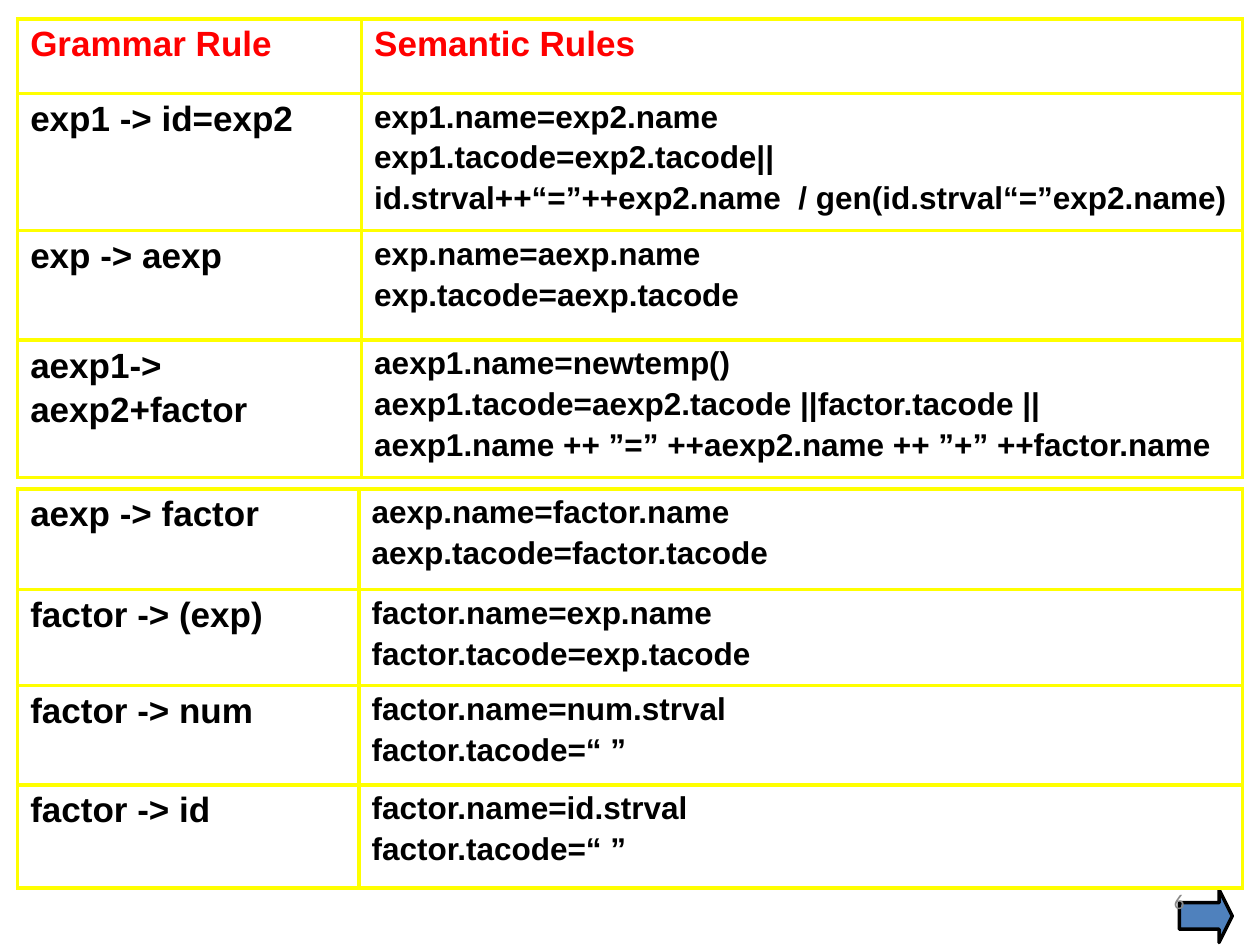
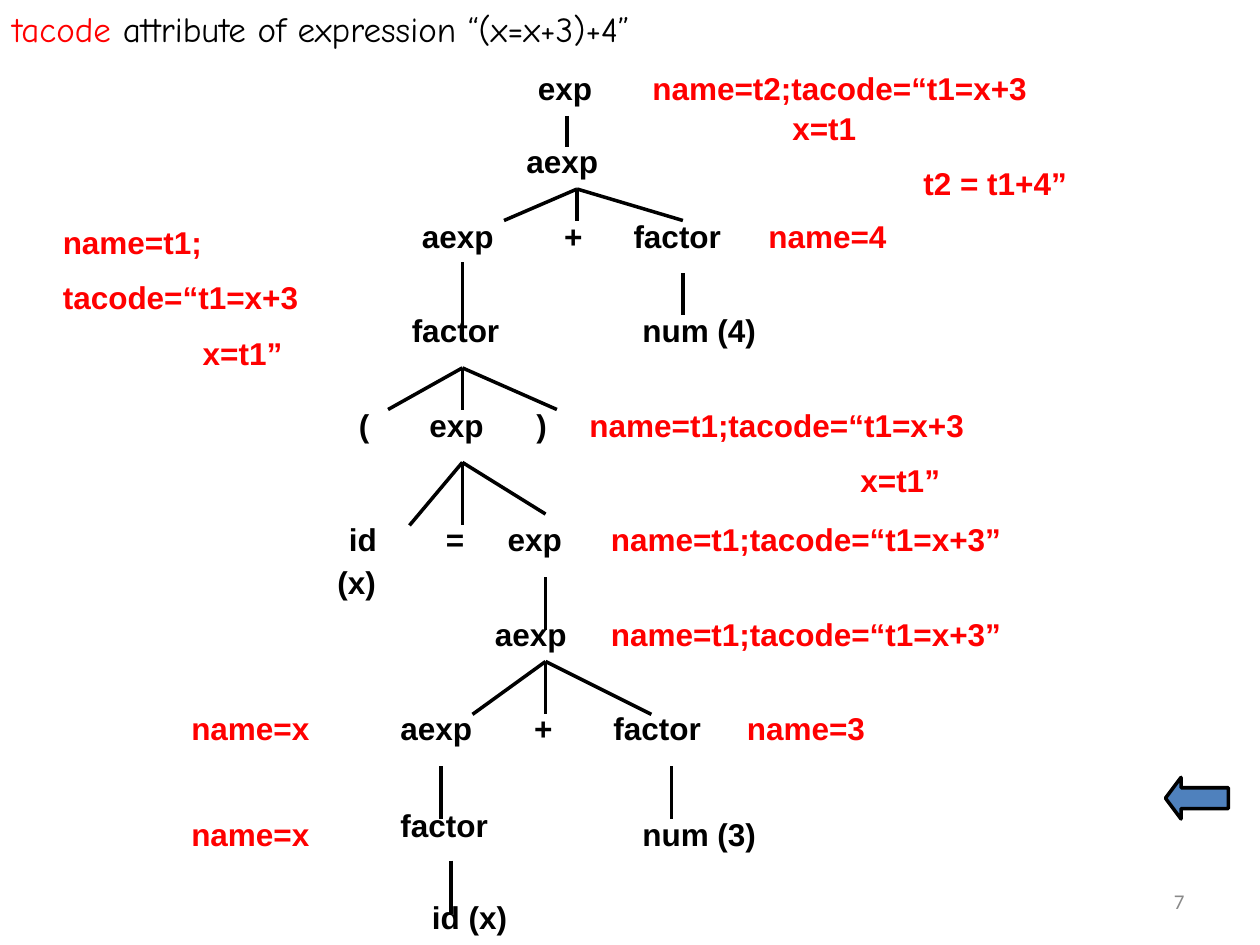
from lxml import etree
from pptx import Presentation
from pptx import util as u
from pptx.dml.color import RGBColor
from pptx.enum import shapes, text
from pptx.oxml.ns import qn

BLACK, RED, YELLOW, BLUE, GREY = "000000", "FF0000", "FFFF00", "4F81BD", "898989"


def color(hex_string):
    return RGBColor.from_string(hex_string)


def write(frame, lines, font="Arial", size=18, fill=BLACK, bold=True,
          gaps=10, indents=(), align=text.PP_ALIGN.LEFT, line_spacing=None):
    """Each line is a string or a list of (string, colour) pieces.

    gaps is the space before later lines: one number, or one per line.
    indents holds the left indent of each line in inches.
    """
    frame.word_wrap = True
    for number, line in enumerate(lines):
        paragraph = frame.paragraphs[0] if number == 0 else frame.add_paragraph()
        paragraph.alignment = align
        if line_spacing:
            paragraph.line_spacing = line_spacing
        if number > 0:
            gap = gaps[number] if isinstance(gaps, tuple) else gaps
            paragraph.space_before = u.Pt(gap)
        if indents and indents[number]:
            paragraph._p.get_or_add_pPr().set("marL", str(u.Inches(indents[number])))
        for piece, piece_color in [(line, fill)] if isinstance(line, str) else line:
            run = paragraph.add_run()
            run.text = piece
            run.font.name, run.font.size, run.font.bold = font, u.Pt(size), bold
            run.font.color.rgb = color(piece_color)


presentation = Presentation()
presentation.slide_width, presentation.slide_height = u.Inches(10), u.Inches(7.5)
blank = presentation.slide_layouts[6]
rules_slide, tree_slide = [presentation.slides.add_slide(blank) for _ in range(2)]

# Navigation arrows and slide numbers
navigation = [
    (rules_slide, "6", shapes.MSO_SHAPE.RIGHT_ARROW, (9.36, 7.06, 0.42, 0.42), 0.25),
    (tree_slide, "7", shapes.MSO_SHAPE.LEFT_ARROW, (9.25, 6.17, 0.5, 0.33), 0.375),
]
for slide, number, kind, place, head in navigation:
    arrow = slide.shapes.add_shape(kind, *[u.Inches(value) for value in place])
    arrow.shadow.inherit = False
    arrow.adjustments[0], arrow.adjustments[1] = 0.5, head
    arrow.fill.solid()
    arrow.fill.fore_color.rgb = color(BLUE)
    arrow.line.color.rgb = color(BLACK)
    arrow.line.width = u.Pt(2)
    box = slide.shapes.add_textbox(u.Inches(7.17), u.Inches(6.95), u.Inches(2.33), u.Inches(0.4))
    box.text_frame.vertical_anchor = text.MSO_ANCHOR.MIDDLE
    write(box.text_frame, [number], font="Calibri", size=12, fill=GREY, bold=False,
          align=text.PP_ALIGN.RIGHT)

# Slide 1: grammar rules with their semantic rules
# (top, column widths, [(row height, grammar lines, semantic lines)])
rule_tables = [
    (0.15, (2.73, 6.99), [
        (0.59, ["Grammar Rule"], ["Semantic Rules"]),
        (1.04, ["exp1 -> id=exp2"],
         ["exp1.name=exp2.name", "exp1.tacode=exp2.tacode||",
          "id.strval++“=”++exp2.name  / gen(id.strval“=”exp2.name)"]),
        (0.87, ["exp -> aexp"], ["exp.name=aexp.name", "exp.tacode=aexp.tacode"]),
        (1.09, ["aexp1->", "aexp2+factor"],
         ["aexp1.name=newtemp()", "aexp1.tacode=aexp2.tacode ||factor.tacode ||",
          "aexp1.name ++ ”=” ++aexp2.name ++ ”+” ++factor.name"]),
    ]),
    (3.88, (2.71, 7.01), [
        (0.8, ["aexp -> factor"], ["aexp.name=factor.name", "aexp.tacode=factor.tacode"]),
        (0.76, ["factor -> (exp)"], ["factor.name=exp.name", "factor.tacode=exp.tacode"]),
        (0.79, ["factor -> num"], ["factor.name=num.strval", "factor.tacode=“ ”"]),
        (0.82, ["factor -> id"], ["factor.name=id.strval", "factor.tacode=“ ”"]),
    ]),
]
for top, widths, rows in rule_tables:
    height = sum(row[0] for row in rows)
    table = rules_slide.shapes.add_table(
        len(rows), 2, u.Inches(0.14), u.Inches(top), u.Inches(sum(widths)), u.Inches(height)).table
    table.first_row = table.horz_banding = False
    for column, width in zip(table.columns, widths):
        column.width = u.Inches(width)
    for row, (row_height, *contents) in zip(table.rows, rows):
        row.height = u.Inches(row_height)
        is_header = contents[0] == ["Grammar Rule"]
        for index, (cell, lines) in enumerate(zip(row.cells, contents)):
            write(cell.text_frame, lines, gaps=3.2, size=20 if is_header or index == 0 else 18,
                  fill=RED if is_header else BLACK)
            cell.fill.background()
            properties = cell._tc.get_or_add_tcPr()
            for position, side in enumerate(("lnL", "lnR", "lnT", "lnB")):
                border = etree.Element(qn("a:" + side), w=str(u.Pt(2.25)))
                solid = etree.SubElement(border, qn("a:solidFill"))
                etree.SubElement(solid, qn("a:srgbClr"), val=YELLOW)
                properties.insert(position, border)

# Slide 2: title
title = tree_slide.shapes.add_textbox(0, u.Inches(0.05), u.Inches(9), u.Inches(0.5))
write(title.text_frame, [[("tacode", RED), (" attribute of expression “(x=x+3)+4”", BLACK)]],
      font="Comic Neue", size=20, bold=False, line_spacing=0.9)

# Attribute values: left, top, width, height, lines, indents, gaps
annotations = [
    (1.42, 6.42, 1.5, 0.4, ["name=x"], (), 10),
    (1.42, 5.58, 1.5, 0.4, ["name=x"], (), 10),
    (5.83, 5.58, 1.5, 0.4, ["name=3"], (), 10),
    (6, 1.67, 1.5, 0.4, ["name=4"], (), 10),
    (4.75, 4.08, 4.33, 0.4, ["name=t1;tacode=“t1=x+3”"], (), 10),
    (4.75, 4.83, 4.33, 0.4, ["name=t1;tacode=“t1=x+3”"], (), 10),
    (4.58, 3.17, 5.25, 0.86, ["name=t1;tacode=“t1=x+3", "x=t1”"], (0, 2.15), 10),
    (0.4, 1.72, 3.58, 1.31, ["name=t1;", "tacode=“t1=x+3", "x=t1”"], (0, 0, 1.11), 10),
    (5.08, 0.5, 4.5, 1.15, ["name=t2;tacode=“t1=x+3", "x=t1", "t2 = t1+4”"],
     (0, 1.11, 2.15), (0, 1, 10)),
]
for left, top, width, height, lines, indents, gaps in annotations:
    box = tree_slide.shapes.add_textbox(*[u.Inches(value) for value in (left, top, width, height)])
    write(box.text_frame, lines, fill=RED, indents=indents, gaps=gaps)

# Tree nodes, level by level: top, then (left, label)
levels = [
    (0.5, [(4.17, "exp")]),
    (1.08, [(4.08, "aexp")]),
    (1.67, [(3.25, "aexp"), (4.38, "+"), (4.93, "factor")]),
    (2.42, [(3.17, "factor"), (5, "num (4)")]),
    (3.17, [(2.75, "("), (3.31, "exp"), (4.16, ")")]),
    (4.08, [(2.67, "id"), (3.44, "="), (3.93, "exp")]),
    (4.42, [(2.58, "(x)")]),
    (4.83, [(3.83, "aexp")]),
    (5.58, [(3.08, "aexp"), (4.14, "+"), (4.77, "factor")]),
    (6.35, [(3.08, "factor")]),
    (6.42, [(5, "num (3)")]),
    (7.08, [(3.33, "id (x)")]),
]
for top, nodes in levels:
    for left, label in nodes:
        box = tree_slide.shapes.add_textbox(u.Inches(left), u.Inches(top), u.Inches(1.2), u.Inches(0.4))
        write(box.text_frame, [label])

# Tree branches: parent point, then the end points of its children
branches = [
    ((4.5, 0.92), [(4.5, 1.17)]),
    ((4.58, 1.5), [(4, 1.75), (4.58, 1.75), (5.42, 1.75)]),
    ((3.67, 2.08), [(3.67, 2.58)]),
    ((5.42, 2.17), [(5.42, 2.5)]),
    ((3.67, 2.92), [(3.08, 3.25), (3.67, 3.25), (4.42, 3.25)]),
    ((3.67, 3.67), [(3.25, 4.17), (3.67, 4.17), (4.33, 4.08)]),
    ((4.33, 4.58), [(4.33, 5)]),
    ((4.33, 5.25), [(3.75, 5.67), (4.33, 5.67), (5.17, 5.67)]),
    ((3.5, 6.08), [(3.5, 6.5)]),
    ((5.33, 6.08), [(5.33, 6.5)]),
    ((3.58, 6.83), [(3.58, 7.25)]),
]
for parent, children in branches:
    for child in children:
        branch = tree_slide.shapes.add_connector(
            shapes.MSO_CONNECTOR.STRAIGHT, *[u.Inches(value) for value in parent + child])
        branch.line.color.rgb = color(BLACK)
        branch.line.width = u.Pt(2)
        etree.SubElement(branch._element.spPr, qn("a:effectLst"))

presentation.save("out.pptx")
